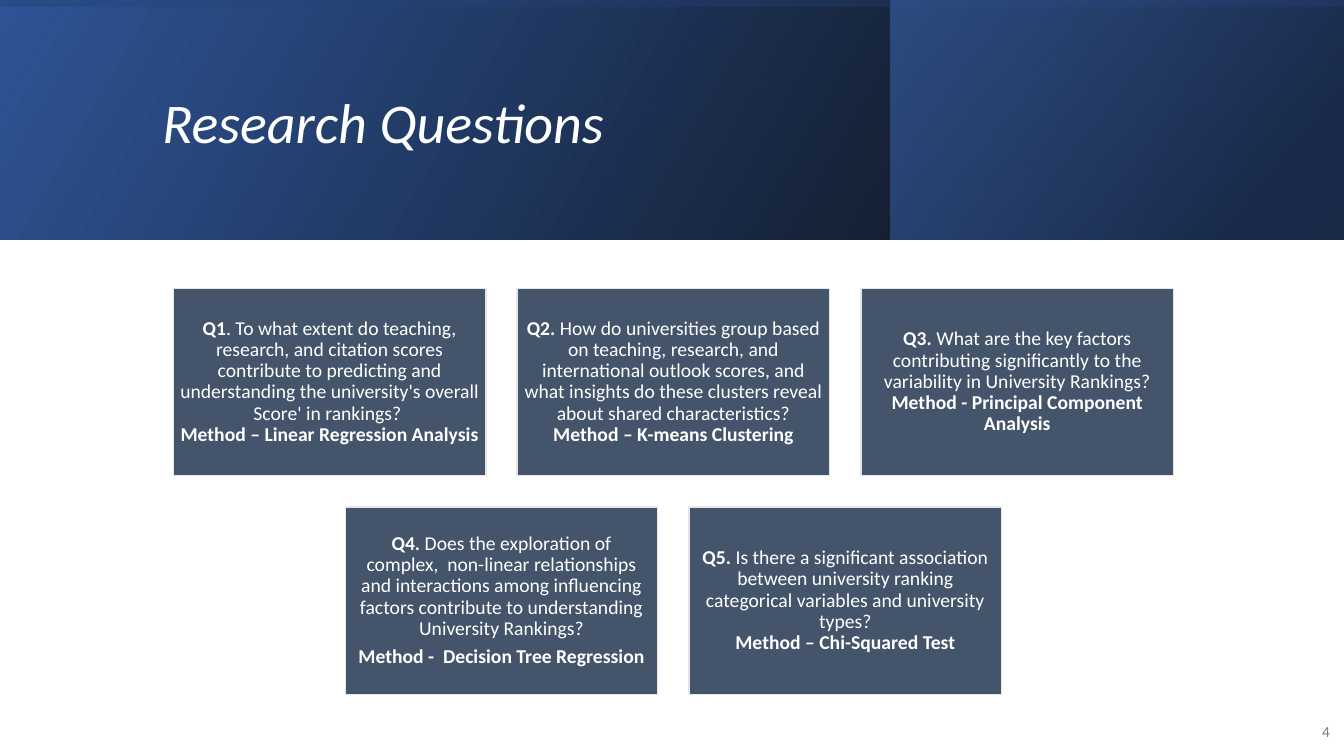
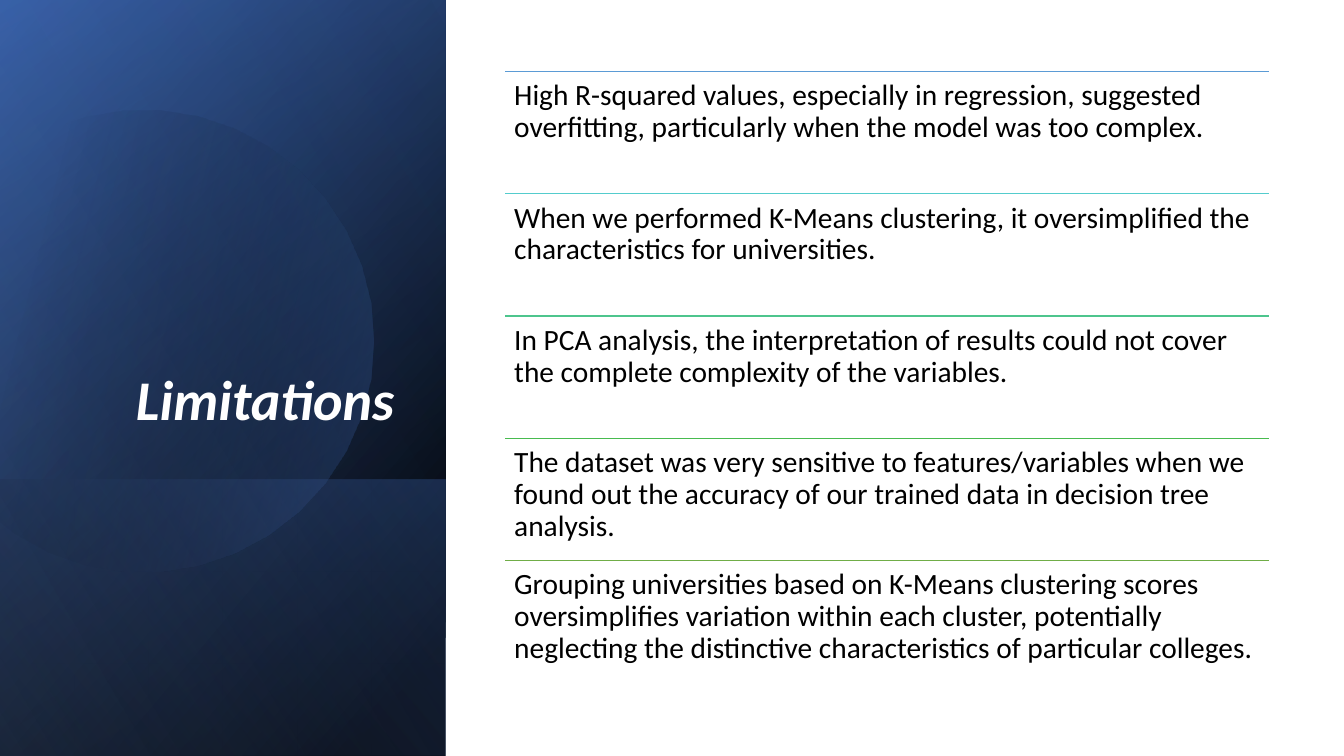
from math import cos, radians, sin

from lxml import etree
from pptx import Presentation
from pptx import util as u
from pptx.dml.color import RGBColor
from pptx.enum import shapes, text
from pptx.oxml.ns import qn

Inches, Pt = u.Inches, u.Pt

# Shared style
FONT = "Calibri"
NBSP = chr(160)
WHITE, BLACK, GREY = "FFFFFF", "000000", "808080"
SLATE, PALE = "44546A", "E7E6E6"
NAVY, DEEP, BLUE, SKY = "203864", "2F5597", "4472C4", "8FAADC"
LEFT, CENTER, RIGHT = text.PP_ALIGN.LEFT, text.PP_ALIGN.CENTER, text.PP_ALIGN.RIGHT
TOP, MIDDLE, BOTTOM = text.MSO_ANCHOR.TOP, text.MSO_ANCHOR.MIDDLE, text.MSO_ANCHOR.BOTTOM

# Content: rows of cards, each card a list of paragraphs of (text, bold) runs
QUESTIONS = [
    [
        [[("Q1", True),
          (f".{NBSP}To what extent do teaching, research, and citation scores contribute to "
           f"predicting and understanding the university's overall Score' in rankings?{NBSP}\n",
           False),
          (f"Method – Linear{NBSP}Regression Analysis", True)]],
        [[(f"Q2.{NBSP}", True),
          ("How do universities group based on teaching, research, and international outlook "
           "scores, and what insights do these clusters reveal about shared "
           "characteristics?\n", False),
          ("Method – K-means Clustering", True)]],
        [[(f"Q3.{NBSP}", True),
          ("What are the key factors contributing significantly to the variability in "
           "University Rankings?\n", False),
          (f"Method -{NBSP}Principal Component Analysis", True)]],
    ],
    [
        [[("Q4.", True),
          (f" Does the exploration of complex,{NBSP} non-linear relationships and interactions "
           "among influencing factors contribute to understanding University Rankings?", False)],
         [(f"Method -{NBSP}{NBSP}Decision Tree Regression", True)]],
        [[(f"Q5.{NBSP}", True),
          ("Is there a significant association between university ranking categorical "
           "variables and university types?\n", False),
          ("Method – Chi-Squared Test", True)]],
    ],
]
LIMITATIONS = [
    ("5B9BD5", "High R-squared values, especially in regression, suggested overfitting, "
               "particularly when the model was too complex."),
    ("54CCCD", "When we performed K-Means clustering, it oversimplified the characteristics "
               "for universities."),
    ("4DC58D", "In PCA analysis, the interpretation of results could not cover the complete "
               "complexity of the variables."),
    ("48BB4F", "The dataset was very sensitive to features/variables when we found out the "
               "accuracy of our trained data in decision tree analysis."),
    ("70AD47", "Grouping universities based on K-Means clustering scores oversimplifies "
               "variation within each cluster, potentially neglecting the distinctive "
               "characteristics of particular colleges."),
]


def rgb(value):
    return RGBColor.from_string(value)


def box(at):
    return [Inches(v) for v in at]


# Text
def write(sp, paragraphs, size, color, align=LEFT, anchor=TOP, inset=None, after=0,
          spacing=0.9, italic=False):
    """Fill a shape with paragraphs of (text, bold) runs; a newline is a line break."""
    tf = sp.text_frame
    tf.word_wrap = True
    tf.auto_size = text.MSO_AUTO_SIZE.NONE
    tf.vertical_anchor = anchor
    if inset is not None:
        tf.margin_left = tf.margin_right = tf.margin_top = tf.margin_bottom = Inches(inset)
    for i, runs in enumerate(paragraphs):
        p = tf.add_paragraph() if i else tf.paragraphs[0]
        p.alignment, p.line_spacing, p.space_after = align, spacing, Pt(after)
        for words, bold in runs:
            r = p.add_run()
            r.text = words.rstrip("\n")
            r.font.name, r.font.size = FONT, Pt(size)
            r.font.bold, r.font.italic = bold, italic
            r.font.color.rgb = rgb(color)
            if words.endswith("\n"):
                p.add_line_break()


def add_text(s, at, paragraphs, size, color, **style):
    write(s.shapes.add_textbox(*box(at)), paragraphs, size, color, **style)


def add_title(s, at, words, bold=False, **style):
    sp = s.shapes.title
    sp.left, sp.top, sp.width, sp.height = box(at)
    write(sp, [[(words, bold)]], 40, WHITE, italic=True, **style)
    sp.element.getparent().append(sp.element)  # in front of the bands


# Gradient bands
def paint_gradient(sp, stops, angle):
    """Two stops of (position, colour, opacity), all but the colour in percent."""
    sp.shadow.inherit = False
    sp.line.fill.background()
    sp.fill.gradient()
    sp.fill.gradient_angle = 360 - angle
    for stop, (position, color, _) in zip(sp.fill.gradient_stops, stops):
        stop.position = position / 100
        stop.color.rgb = rgb(color)
    for clr, (_, _, opacity) in zip(sp.element.spPr.iter(qn("a:srgbClr")), stops):
        etree.SubElement(clr, qn("a:alpha"), val=str(opacity * 1000))


def add_band(s, at, stops, angle, rotation=0):
    sp = s.shapes.add_shape(shapes.MSO_SHAPE.RECTANGLE, *box(at))
    sp.rotation = rotation
    sp.element.spPr.get_or_add_xfrm().set("flipH", "1")
    paint_gradient(sp, stops, angle)


def add_cut_disc(s, cx, cy, radius, half_angle, tilt, stops, angle, steps=28):
    """A disc with a straight cut, turned back by tilt so that the cut stands upright."""
    turns = [radians(tilt + half_angle * (2 * i / steps - 1)) for i in range(steps + 1)]
    points = [(Inches(cx + radius * cos(a)), Inches(cy + radius * sin(a))) for a in turns]
    builder = s.shapes.build_freeform(*points[0])
    builder.add_line_segments(points[1:], close=True)
    sp = builder.convert_to_shape()
    sp.rotation = 360 - tilt
    paint_gradient(sp, stops, angle)


# Cards and rules
def add_card(s, at, paragraphs):
    sp = s.shapes.add_shape(shapes.MSO_SHAPE.RECTANGLE, *box(at))
    sp.shadow.inherit = False
    sp.fill.solid()
    sp.fill.fore_color.rgb = rgb(SLATE)
    sp.line.color.rgb = rgb(PALE)
    sp.line.width = Pt(1)
    write(sp, paragraphs, 14, WHITE, align=CENTER, anchor=MIDDLE, inset=0.06, after=5)


def add_rule(s, left, top, width, color):
    line = s.shapes.add_connector(shapes.MSO_CONNECTOR.STRAIGHT,
                                  *box((left, top, left + width, top)))
    line.line.width = Pt(1)
    line.line.color.rgb = rgb(color)
    etree.SubElement(line.element.spPr, qn("a:effectLst"))
    line.element.remove(line.element.find(qn("p:style")))


# Slides
def research_questions(s):
    add_band(s, (0, 0, 13.33, 2.38), [(0, BLACK, 96), (100, DEEP, 100)], 330)
    add_band(s, (8.83, 0, 4.5, 2.38), [(19, NAVY, 68), (100, BLUE, 48)], 320)
    add_band(s, (5.48, -5.48, 2.38, 13.33), [(23, DEEP, 16), (99, BLACK, 45)], 350, 270)
    add_title(s, (1.51, 0.38, 10.63, 1.72), "Research Questions", anchor=MIDDLE)
    add_text(s, (12.8, 7.06, 0.49, 0.4), [[("4", False)]], 11, GREY,
             align=RIGHT, anchor=MIDDLE, spacing=1)

    # Rows of cards, each centred on the same axis
    center, top, width, height, gap = 6.68, 2.86, 3.1, 1.86, 0.31
    for row, cards in enumerate(QUESTIONS):
        left = center - (len(cards) * (width + gap) - gap) / 2
        for col, paragraphs in enumerate(cards):
            add_card(s, (left + col * (width + gap), top + row * (height + gap), width, height),
                     paragraphs)


def limitations(s):
    panel = (-1.54, 1.54, 7.5, 4.42)  # turned by 90 degrees
    add_band(s, panel, [(8, BLACK, 100), (100, DEEP, 100)], 50, 90)
    add_band(s, panel, [(0, BLACK, 0), (99, BLUE, 46)], 30, 90)
    add_band(s, (0.84, 3.92, 2.74, 4.42), [(2, BLUE, 29), (100, BLACK, 30)], 130, 90)
    add_cut_disc(s, 1.41, 3.34, 2.29, 133, 16.1, [(29, BLACK, 0), (100, BLUE, 43)], 30)
    add_band(s, panel, [(0, BLACK, 0), (99, SKY, 11)], 120, 90)
    add_title(s, (0.51, 0.64, 3.5, 3.7), "Limitations", bold=True, align=RIGHT, anchor=BOTTOM)

    left, top, last, width = 5.01, 0.71, 5.56, 7.58
    step = (last - top) / (len(LIMITATIONS) - 1)
    for i, (color, words) in enumerate(LIMITATIONS):
        y = top + i * step
        add_rule(s, left, y, width, color)
        add_text(s, (left, y, width, step), [[(words, False)]], 21, BLACK, inset=0.09)


def main():
    prs = Presentation()
    prs.slide_width, prs.slide_height = Inches(13.33), Inches(7.5)
    title_only = prs.slide_layouts[5]
    for build in (research_questions, limitations):
        build(prs.slides.add_slide(title_only))
    prs.save("out.pptx")


if __name__ == "__main__":
    main()
